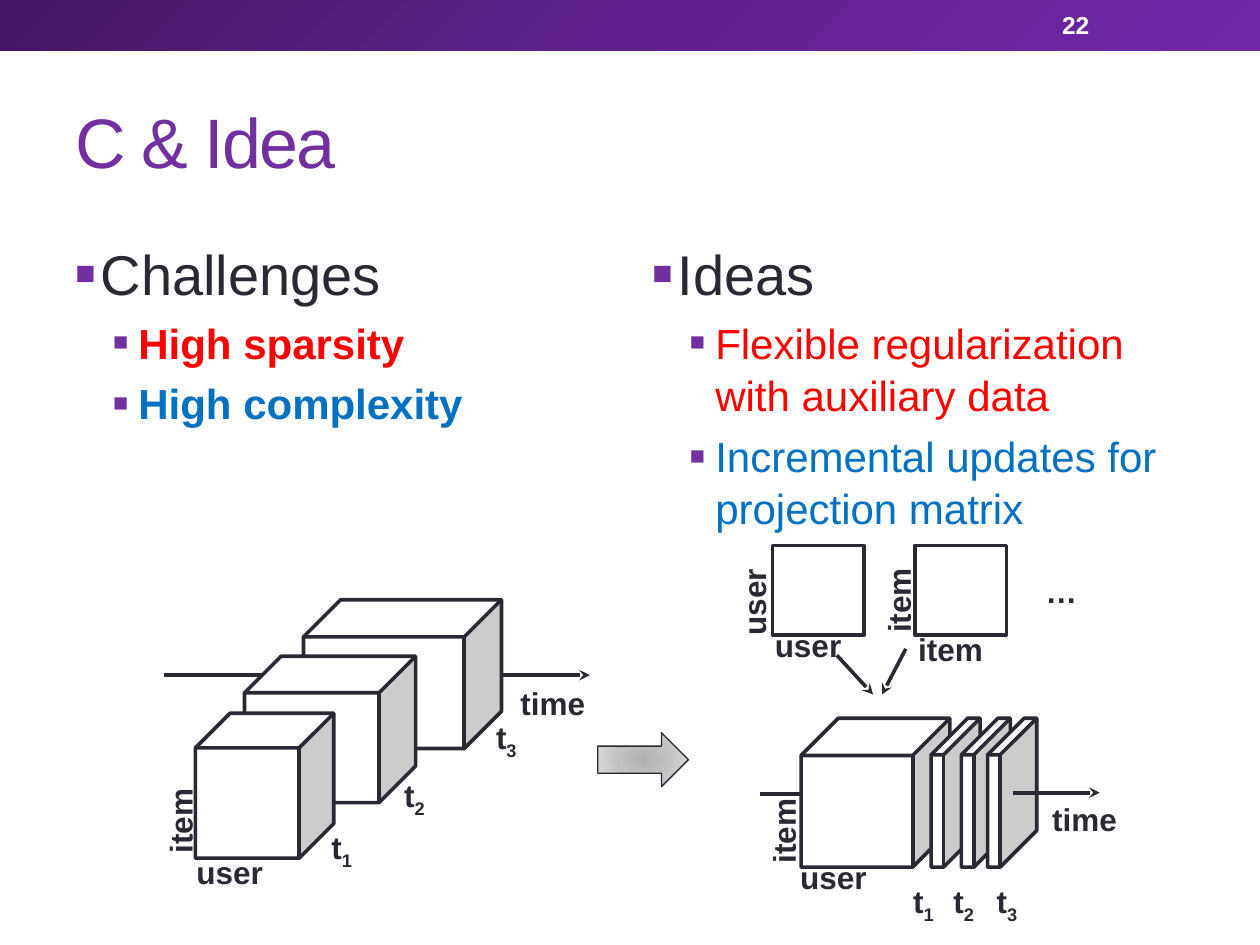
from lxml.etree import SubElement
from pptx import Presentation
from pptx.dml.color import RGBColor as RGB
from pptx.enum.shapes import MSO_CONNECTOR as CONN, MSO_SHAPE as SHAPE
from pptx.enum.text import MSO_ANCHOR as ANCHOR
from pptx.oxml.ns import qn
from pptx.util import Cm, Pt

THEME = {
    "font": "Arial", "ink": "292934", "accent": "7030A0", "white": "FFFFFF",
    "red": "FF0000", "blue": "0070C0",
    "title": 40, "head": 32, "point": 24, "label": 18, "number": 14,
    "line": 2.08, "thin": 0.75, "spacing": 1.04,
    "header": [(0, "431764"), (50, "5F218E"), (100, "7128A8")],
    "arrow": [(0, "B2B2B3"), (45, "C1C1C2"), (100, "DDDDDE")],
}

TITLE = "C & Idea"
NUMBER = "22"
COLUMNS = [
    (1.27, "Challenges", True, [("High sparsity", "red"), ("High complexity", "blue")]),
    (12.9, "Ideas", False, [("Flexible regularization with auxiliary data", "red"),
                            ("Incremental updates for projection matrix", "blue")]),
]
BACK_LINES = [(3.3, 13.61, 5.87, 13.61), (15.32, 16, 17.68, 16)]
ARROWS = [(10.13, 13.61, 11.89, 13.61), (20.42, 15.98, 22.17, 15.98),
          (16.87, 13.21, 17.6, 14), (18.26, 13.08, 17.78, 14)]
CUBES = [
    (6.12, 12.09, 3.99, 3, 0.25), (4.93, 13.23, 3.45, 2.95, 0.25),
    (3.94, 14.38, 2.79, 2.92, 0.25), (16.15, 14.48, 3, 3, 0.25),
    *[(x, 14.48, 0.99, 3, 0.744) for x in (18.77, 19.38, 19.91)],
    *[(x, 11, 1.85, 1.8, 0) for x in (15.57, 18.44)],
]
LABELS = [
    ("time", 10.24, 13.67), ("time", 20.96, 16), ("…", 20.83, 11.4),
    ("user", 3.71, 17.07), ("user", 15.88, 17.17), ("user", 15.37, 12.5),
    ("item", 18.26, 12.57),
]
SIDE_LABELS = [("item", 2.72, 16.03), ("item", 14.88, 16.23),
               ("user", 14.27, 11.63), ("item", 17.2, 11.58)]
TIMES = [("1", 6.43, 16.56), ("2", 7.9, 15.52), ("3", 9.75, 14.35),
         ("1", 18.16, 17.65), ("2", 18.97, 17.65), ("3", 19.84, 17.65)]
LABEL_WIDTH = {"time": 1.83, "item": 1.83, "user": 1.85, "t": 0.97, "…": 1.14}

prs = Presentation()
prs.slide_width, prs.slide_height = Cm(25.4), Cm(19.05)
slide = prs.slides.add_slide(prs.slide_layouts[6])


def color(name):
    return RGB.from_string(THEME[name])


def apply(obj, values):
    for name, value in values.items():
        setattr(obj, name, value)


def add_run(p, text, size, ink="ink", bold=False):
    r = p.add_run()
    r.text = text
    apply(r.font, {"name": THEME["font"], "size": Pt(THEME[size]), "bold": bold})
    r.font.color.rgb = color(ink)
    return r


def add_box(x, y, w, h, wrap=True, anchor=ANCHOR.TOP):
    s = slide.shapes.add_textbox(*map(Cm, (x, y, w, h)))
    apply(s.text_frame, {"word_wrap": wrap, "vertical_anchor": anchor})
    return s


def add_shape(kind, x, y, w, h):
    s = slide.shapes.add_shape(kind, *map(Cm, (x, y, w, h)))
    s.shadow.inherit = False
    return s


def set_line(line, width):
    line.color.rgb = color("ink")
    line.width = Pt(THEME[width])


def set_gradient(s, stops):
    s.fill.gradient()
    g = s._element.spPr.find(qn("a:gradFill"))
    g.clear()
    stop_list = SubElement(g, qn("a:gsLst"))
    for pos, rgb in THEME[stops]:
        stop = SubElement(stop_list, qn("a:gs"), pos=str(pos * 1000))
        SubElement(stop, qn("a:srgbClr"), val=rgb)
    return g


def add_line(x1, y1, x2, y2, head=False):
    s = slide.shapes.add_connector(CONN.STRAIGHT, *map(Cm, (x1, y1, x2, y2)))
    set_line(s.line, "line")
    if head:
        SubElement(s.line._get_or_add_ln(), qn("a:tailEnd"), type="stealth")
    SubElement(s._element.spPr, qn("a:effectLst"))


def add_bullet(p, text, level, **style):
    pPr = p._p.get_or_add_pPr()
    apply(p, {"level": level, "line_spacing": THEME["spacing"]})
    size = "point" if level else "head"
    if level:
        p.space_before = Pt(THEME[size] * 0.2)
    pPr.set("marL", str(Cm(1.27 if level else 0.51)))
    pPr.set("indent", str(Cm(-0.51)))
    SubElement(SubElement(pPr, qn("a:buClr")), qn("a:srgbClr"), val=THEME["accent"])
    SubElement(pPr, qn("a:buSzPct"), val="60000")
    SubElement(pPr, qn("a:buFont"), typeface=THEME["font"])
    SubElement(pPr, qn("a:buChar"), char="■")
    add_run(p, text, size, **style)


def add_label(text, x, y, rotation=0):
    s = add_box(x, y, LABEL_WIDTH[text], 1.02, wrap=False)
    s.rotation = rotation
    p = s.text_frame.paragraphs[0]
    add_run(p, text, "label", bold=True)
    return p


header = add_shape(SHAPE.RECTANGLE, 0, 0, 25.4, 1.02)
SubElement(set_gradient(header, "header"), qn("a:lin"), ang="2700000", scaled="0")
header.line.fill.background()

s = add_box(1.27, 1.47, 22.86, 2.74, anchor=ANCHOR.MIDDLE)
r = add_run(s.text_frame.paragraphs[0], TITLE, "title", "accent")
r._r.get_or_add_rPr().set("spc", "-100")

s = add_box(21.16, 0.05, 2.97, 0.91, anchor=ANCHOR.MIDDLE)
add_run(s.text_frame.paragraphs[0], NUMBER, "number", "white", True)

for x, heading, bold, points in COLUMNS:
    tf = add_box(x, 4.65, 11.23, 13.11).text_frame
    add_bullet(tf.paragraphs[0], heading, 0)
    for text, ink in points:
        add_bullet(tf.add_paragraph(), text, 1, ink=ink, bold=bold)

for ends in BACK_LINES:
    add_line(*ends)

for *frame, depth in CUBES:
    s = add_shape(SHAPE.CUBE, *frame)
    s.adjustments[0] = depth
    s.fill.solid()
    s.fill.fore_color.rgb = color("white")
    set_line(s.line, "line")

for ends in ARROWS:
    add_line(*ends, head=True)

arrow = add_shape(SHAPE.RIGHT_ARROW, 12.05, 14.77, 1.83, 1.09)
center = SubElement(set_gradient(arrow, "arrow"), qn("a:path"), path="circle")
SubElement(center, qn("a:fillToRect"), dict.fromkeys("ltrb", "50000"))
set_line(arrow.line, "thin")

for label in LABELS:
    add_label(*label)
for label in SIDE_LABELS:
    add_label(*label, rotation=270)
for index, x, y in TIMES:
    r = add_run(add_label("t", x, y), index, "label", bold=True)
    r._r.get_or_add_rPr().set("baseline", "-25000")

prs.save("out.pptx")
